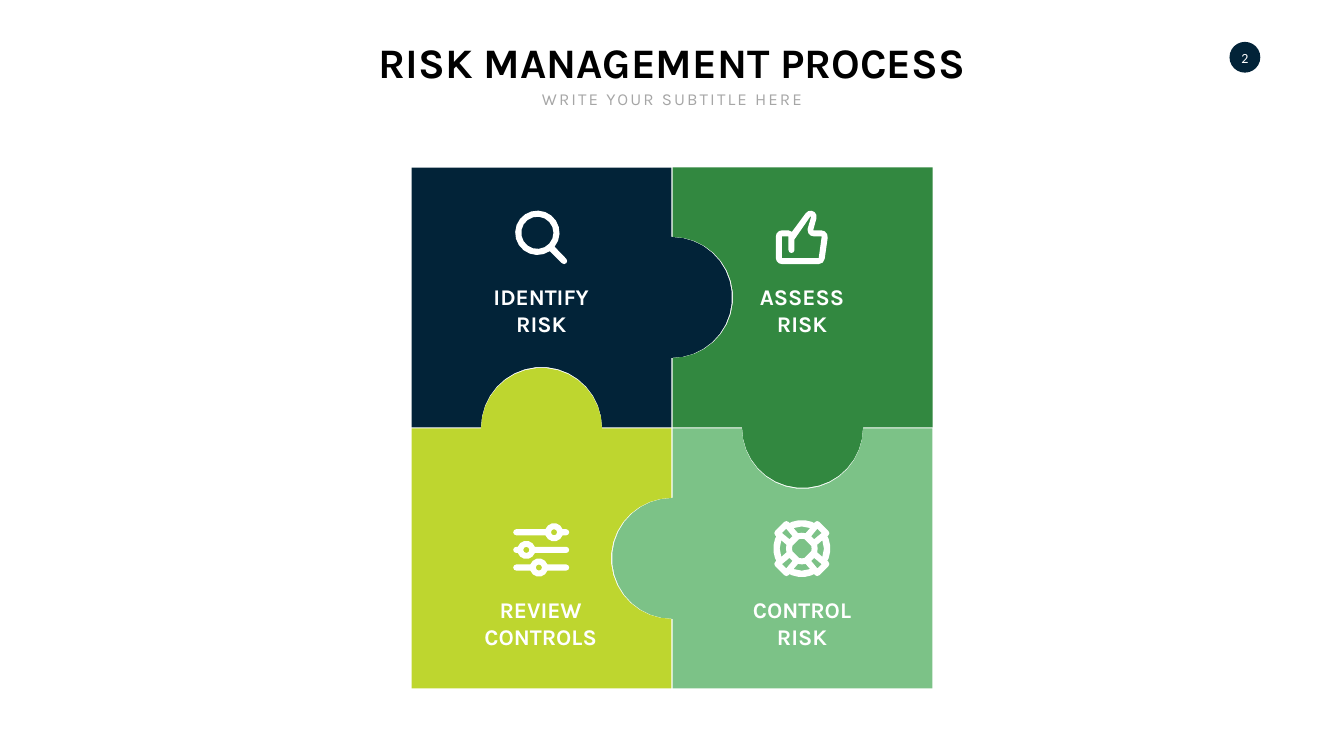
"""Build a four-piece puzzle slide on the risk management process."""
from math import cos, radians, sin, sqrt

from pptx import Presentation
from pptx import util as u
from pptx.dml.color import RGBColor
from pptx.enum import shapes, text

hue = RGBColor.from_string
WHITE, NAVY = "FFFFFF", "022338"


def arc(x, y, r, start, end):
    steps = max(2, round(sqrt(r) * abs(end - start) / 100))
    turns = [radians(start + (end - start) * i / steps) for i in range(steps + 1)]
    return [(x + r * cos(t), y + r * sin(t)) for t in turns]


def spin(points, quarters):
    for _ in range(quarters):
        points = [(-y, x) for x, y in points]
    return points


deck = Presentation()
deck.slide_width, deck.slide_height = u.Pt(1919.52), u.Pt(1080)
slide = deck.slides.add_slide(deck.slide_layouts[6])
items = slide.shapes

near, far, mid, knob = -0.8, -372, -186.4, 86.4
piece = [(near, far), (far, far), (far, near)]
piece += arc(mid, near, knob, 180, 360)
piece += [(near, near)] + arc(near, mid, knob, 90, -90)

lens = [
    arc(0, 0, 31.7, 56, 399) + arc(38.2, 40.3, 4.4, -45, 135),
    arc(0, 0, 23, 0, 360),
]

thumb = [
    arc(8.6, 67.7, 8.6, 90, 180) + arc(8.6, 36.7, 8.6, 180, 270)
    + [(18, 28.1), (23, 30.2)] + arc(49.7, 8.6, 8.6, 215, 375)
    + [(53.3, 28.1)] + arc(64.8, 37.4, 9.3, -90, 8)
    + arc(61.2, 67.7, 8.6, 8, 90),
    [(8.6, 36.7), (18, 36.7)] + arc(22.3, 56.2, 4.3, 180, 0)
    + [(26.6, 41), (49, 8.6), (50.4, 8.6), (45.4, 25.9)]
    + arc(54, 28.1, 8.6, 180, 90)
    + [(65.5, 36.7), (61.2, 67.7), (8.6, 67.7)],
]

sliders = []
for row, x in enumerate((58.3, 18.7, 36.7)):
    y = 13 + 25.2 * row
    sliders.append(
        arc(4.4, y, 4.4, 90, 270) + arc(x, y, 13, 200, 340)
        + arc(75.6, y, 4.4, -90, 90) + arc(x, y, 13, 20, 160))
    sliders.append(arc(x, y, 4.4, 0, 360))

rim = arc(0, 0, 40.7, -110, -70) + [(17.6, -36.4)]
rim += arc(22, -35, 4.3, -135, -45) + arc(35, -22, 4.3, -45, 45)
rim += [(36.4, -17.6)]
gap = arc(0, 0, 31.6, -112, -68) + arc(0, 0, 22.6, -76, -104)
strap = [(22.3, -28.4), (13.3, -17.6), (17.6, -13.3), (28.4, -22.3)]
hub = arc(0, 0, 14, -106, -74)
buoy = [sum((spin(part, k) for k in range(4)), []) for part in (rim, hub)]
buoy += [spin(hole, k) for hole in (gap, strap) for k in range(4)]

hues = (NAVY, "328840", "7CC287", "BED62F")
forms = [(fill, 959.8, 611.3, [spin(piece, k)]) for k, fill in enumerate(hues)]
forms += [
    (WHITE, 767.5, 332.6, lens),
    (WHITE, 1108.1, 301, thumb),
    (WHITE, 1145.2, 783.7, buoy),
    (WHITE, 733, 747.4, sliders),
]

badge = items.add_shape(
    shapes.MSO_SHAPE.OVAL, u.Pt(1756), u.Pt(59.8), u.Pt(44), u.Pt(44))
drawn = [(badge, NAVY)]
for fill, x, y, loops in forms:
    pen = None
    for loop in loops:
        spots = [(u.Pt(x + a), u.Pt(y + b)) for a, b in loop]
        if pen is None:
            pen = items.build_freeform(*spots[0])
        else:
            pen.move_to(*spots[0])
        pen.add_line_segments(spots[1:], close=True)
    drawn.append((pen.convert_to_shape(), fill))

for form, fill in drawn:
    form.shadow.inherit = False
    form.fill.solid()
    form.fill.fore_color.rgb = hue(fill)
    form.line.fill.background()

top, low = text.MSO_ANCHOR.TOP, text.MSO_ANCHOR.BOTTOM
head = {"name": "Karla", "size": u.Pt(60), "bold": True}
sub = {"name": "Karla", "size": u.Pt(24)}
label = {"name": "Karla", "size": u.Pt(32), "bold": True}
digit = {"name": "Calibri", "size": u.Pt(20)}
texts = [
    (959.8, 48, 895, 80, top, head, "000000", ["RISK MANAGEMENT PROCESS"]),
    (959.8, 123.8, 391, 36, top, sub, "A6A6A6", ["WRITE YOUR SUBTITLE HERE"]),
    (773, 399.6, 158, 85, low, label, WHITE, ["IDENTIFY", "RISK"]),
    (1145.5, 399.6, 135, 85, low, label, WHITE, ["ASSESS", "RISK"]),
    (1145.5, 846.7, 170, 85, low, label, WHITE, ["CONTROL", "RISK"]),
    (772.2, 846.7, 189, 85, low, label, WHITE, ["REVIEW", "CONTROLS"]),
    (1778, 69.8, 29.5, 24.5, text.MSO_ANCHOR.MIDDLE, digit, WHITE, ["2"]),
]
for x, y, w, h, anchor, look, ink, lines in texts:
    box = items.add_textbox(u.Pt(x - w / 2), u.Pt(y), u.Pt(w), u.Pt(h))
    frame = box.text_frame
    form = {"word_wrap": False, "vertical_anchor": anchor,
            "auto_size": text.MSO_AUTO_SIZE.SHAPE_TO_FIT_TEXT}
    if look is digit:
        sides = ("left", "top", "right", "bottom")
        form.update({f"margin_{side}": 0 for side in sides})
    for key, val in form.items():
        setattr(frame, key, val)
    for i, line in enumerate(lines):
        para = frame.add_paragraph() if i else frame.paragraphs[0]
        para.alignment = text.PP_ALIGN.CENTER
        run = para.add_run()
        run.text = line
        for key, val in look.items():
            setattr(run.font, key, val)
        run.font.color.rgb = hue(ink)
        if look is sub:
            run._r.get_or_add_rPr().set("spc", "300")

deck.save("out.pptx")
